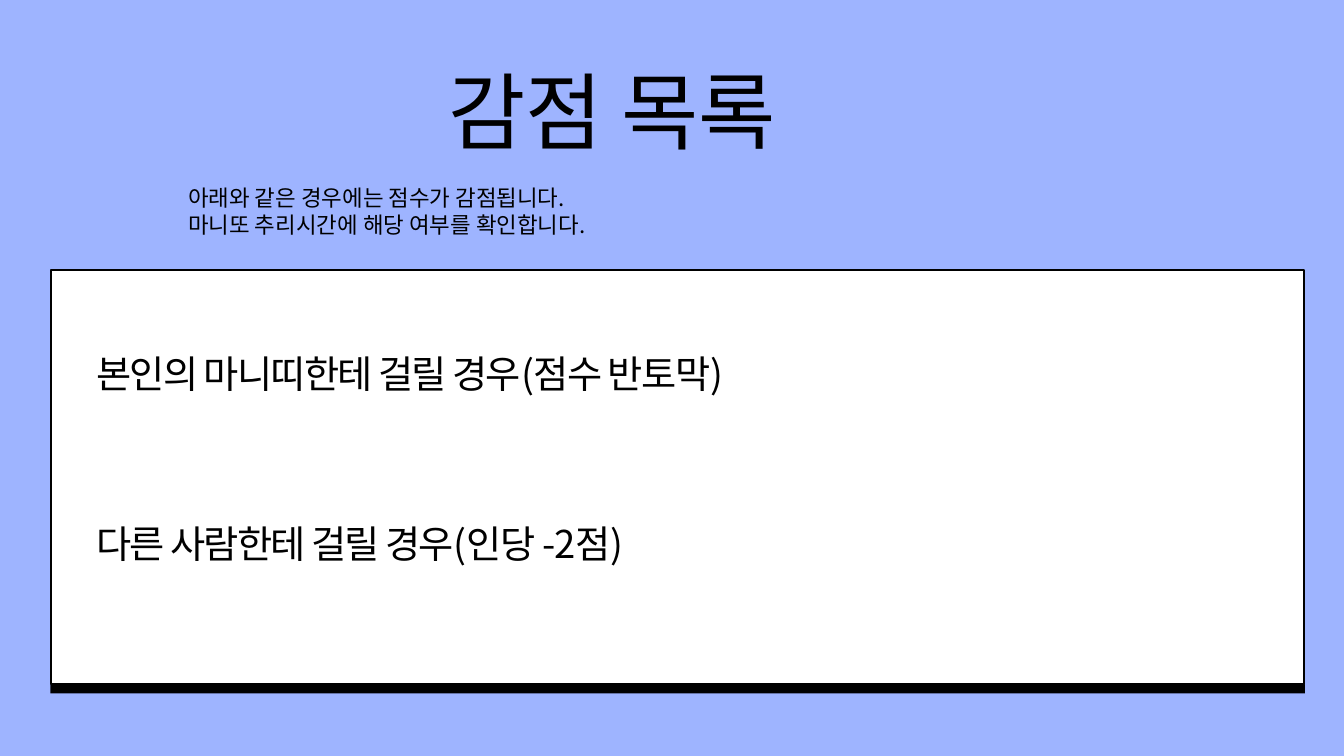
from dataclasses import dataclass

from lxml.etree import SubElement
from pptx import Presentation
from pptx.dml.color import RGBColor
from pptx.enum.shapes import MSO_SHAPE
from pptx.enum.text import MSO_ANCHOR
from pptx.oxml.ns import qn
from pptx.slide import Slide
from pptx.util import Inches, Pt

BLACK = RGBColor(0x00, 0x00, 0x00)
WHITE = RGBColor(0xFF, 0xFF, 0xFF)
PERIWINKLE = RGBColor(0x9E, 0xB4, 0xFF)
FONT = "Noto Sans CJK KR"


@dataclass(frozen=True)
class Panel:
    left: float
    top: float
    width: float
    height: float
    fill: RGBColor
    border: float = 0


@dataclass(frozen=True)
class Label:
    left: float
    top: float
    width: float
    height: float
    lines: tuple[str, ...]
    size: float
    inset: float = 0
    indent: float = 0.01
    space_before: float = 0
    spacing: float = 0
    outline: float = 0


PANELS = (
    Panel(0.75, 4.13, 18.67, 6.19, BLACK),
    Panel(0.76, 4.02, 18.65, 6.16, WHITE, border=2),
)
INTRO = ("아래와 같은 경우에는 점수가 감점됩니다.", "마니또 추리시간에 해당 여부를 확인합니다.")
RULES = ("본인의 마니띠한테 걸릴 경우(점수 반토막)", "다른 사람한테 걸릴 경우(인당 -2점)")
RULE_TOP, RULE_STEP = 5.17, 2.54
LABELS = (
    Label(6.67, 0.88, 5.66, 1.51, ("감점 목록",), 90, indent=0, outline=2.25),
    Label(2.79, 2.71, 11.8, 0.84, INTRO, 24, inset=0.01, space_before=1),
    *(
        Label(1.42, RULE_TOP + index * RULE_STEP, 16.25, 0.72, (rule,), 41,
              inset=0.02, space_before=1.2, spacing=-1.8)
        for index, rule in enumerate(RULES)
    ),
)


def draw_panel(slide: Slide, panel: Panel) -> None:
    shape = slide.shapes.add_shape(
        MSO_SHAPE.RECTANGLE, Inches(panel.left), Inches(panel.top),
        Inches(panel.width), Inches(panel.height))
    shape.shadow.inherit = False
    shape.fill.solid()
    shape.fill.fore_color.rgb = panel.fill
    if panel.border:
        shape.line.color.rgb = BLACK
        shape.line.width = Pt(panel.border)
    else:
        shape.line.fill.background()


def draw_label(slide: Slide, label: Label) -> None:
    shape = slide.shapes.add_textbox(
        Inches(label.left), Inches(label.top), Inches(label.width), Inches(label.height))
    frame = shape.text_frame
    frame.word_wrap = True
    frame.vertical_anchor = MSO_ANCHOR.TOP
    frame.margin_left = frame.margin_right = frame.margin_bottom = 0
    frame.margin_top = Inches(label.inset) + Pt(label.space_before)
    for index, line in enumerate(label.lines):
        paragraph = frame.paragraphs[0] if index == 0 else frame.add_paragraph()
        if index:
            paragraph.space_before = Pt(label.space_before)
        paragraph._p.get_or_add_pPr().set("marL", str(Inches(label.indent)))
        run = paragraph.add_run()
        run.text = line
        run.font.size = Pt(label.size)
        run.font.name = FONT
        run.font.color.rgb = BLACK
        properties = run._r.get_or_add_rPr()
        SubElement(properties, qn("a:ea")).set("typeface", FONT)
        if label.spacing:
            properties.set("spc", str(round(label.spacing * 100)))
        if label.outline:
            outline = SubElement(properties, qn("a:ln"), w=str(Pt(label.outline)))
            fill = SubElement(outline, qn("a:solidFill"))
            SubElement(fill, qn("a:srgbClr"), val=str(BLACK))
            properties.insert(0, outline)


def main() -> None:
    """Build the penalty list slide and save it."""
    presentation = Presentation()
    presentation.slide_width = Inches(20)
    presentation.slide_height = Inches(11.25)
    slide = presentation.slides.add_slide(presentation.slide_layouts[6])
    slide.background.fill.solid()
    slide.background.fill.fore_color.rgb = PERIWINKLE
    for panel in PANELS:
        draw_panel(slide, panel)
    for label in LABELS:
        draw_label(slide, label)
    presentation.save("out.pptx")


if __name__ == "__main__":
    main()
